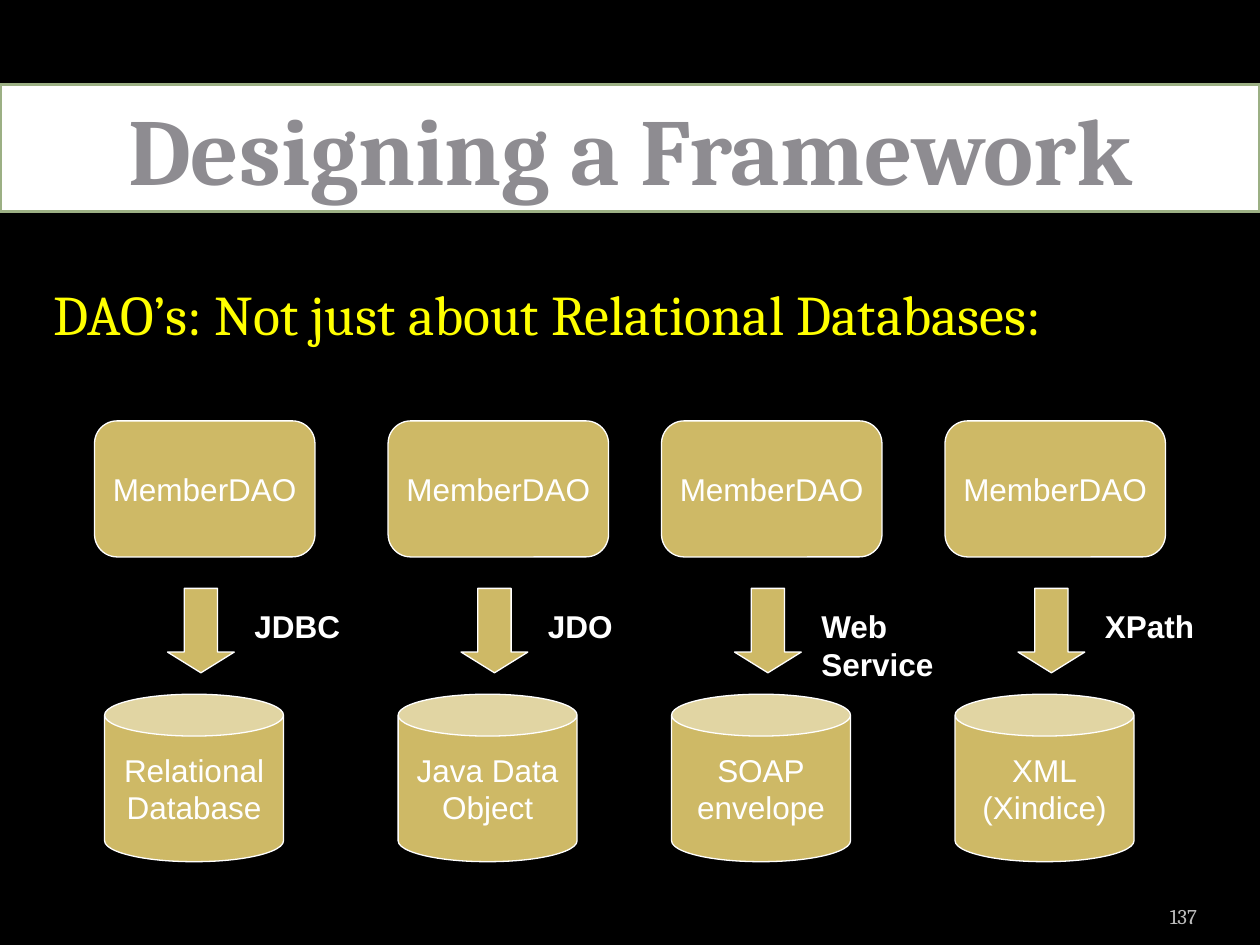
from pptx import Presentation
from pptx.dml.color import RGBColor as RGB
from pptx.enum.shapes import MSO_SHAPE as Shape
from pptx.enum.text import MSO_ANCHOR as Anchor, MSO_AUTO_SIZE as Fit, PP_ALIGN as Align
from pptx.util import Inches, Pt

INK = {"back": "000000", "white": "FFFFFF", "gold": "CEB966", "green": "9CB084",
       "grey": "8E8C91", "pale": "BDBDBD", "yellow": "FFFF00"}
COLS = (0.75, 3.08, 5.25, 7.5)
ROWS = {"dao": 3.34, "arrow": 4.67, "label": 4.77, "store": 5.51}
# Each column: way of access, label width and height, data store
STORES = (
    ("JDBC", 1.08, 0.4, "Relational\vDatabase"),
    ("JDO", 1.08, 0.4, "Java Data\vObject"),
    ("Web Service", 1.25, 0.7, "SOAP\venvelope"),
    ("XPath", 1.08, 0.4, "XML\n(Xindice)"),
)


def tint(name):
    return RGB.from_string(INK[name])


def write(item, text, size=18, font="Arial", color="white", bold=False,
          align=Align.LEFT, wrap=True, anchor=Anchor.TOP):
    frame = item.text_frame
    frame.text = text
    frame.word_wrap = wrap
    frame.vertical_anchor = anchor
    for para in frame.paragraphs:
        para.alignment = align
        for run in para.runs:
            run.font.size = Pt(size)
            run.font.name = font
            run.font.bold = bold
            run.font.color.rgb = tint(color)
    return frame


def add_text(slide, box, text, **style):
    item = slide.shapes.add_textbox(*map(Inches, box))
    return write(item, text, **style)


def add_form(slide, kind, box, fill="gold", line="white", width=0.75):
    form = slide.shapes.add_shape(kind, *map(Inches, box))
    form.shadow.inherit = False
    form.fill.solid()
    form.fill.fore_color.rgb = tint(fill)
    form.line.color.rgb = tint(line)
    form.line.width = Pt(width)
    return form


def add_title(slide, text):
    bar = add_form(slide, Shape.RECTANGLE, (0, 0.67, 10, 1.01), "white", "green", 2)
    frame = write(bar, text, 54, "Cambria", "grey", True, Align.CENTER)
    frame.auto_size = Fit.SHAPE_TO_FIT_TEXT


def add_column(slide, left, way, wide, high, store):
    """Draw a DAO above an arrow, its label and the data store."""
    mid = {"align": Align.CENTER, "wrap": False, "anchor": Anchor.MIDDLE}
    dao = add_form(slide, Shape.FLOWCHART_ALTERNATE_PROCESS,
                   (left, ROWS["dao"], 1.75, 1.08))
    write(dao, "MemberDAO", **mid)
    can = add_form(slide, Shape.CAN, (left + 0.08, ROWS["store"], 1.42, 1.33))
    can.adjustments[0] = 0.25
    write(can, store, **mid)
    arrow = add_form(slide, Shape.DOWN_ARROW, (left + 0.58, ROWS["arrow"], 0.53, 0.67))
    arrow.adjustments[0] = 0.5
    arrow.adjustments[1] = 0.31
    label = add_text(slide, (left + 1.17, ROWS["label"], wide, high), way, bold=True)
    label.auto_size = Fit.SHAPE_TO_FIT_TEXT


def add_number(slide, text):
    frame = add_text(slide, (8.67, 7.02, 0.83, 0.4), text, size=12, font="Cambria",
                     color="pale", align=Align.RIGHT, anchor=Anchor.BOTTOM)
    frame.margin_left = frame.margin_right = 0


def main():
    deck = Presentation()
    deck.slide_width, deck.slide_height = Inches(10), Inches(7.5)
    slide = deck.slides.add_slide(deck.slide_layouts[6])
    slide.background.fill.solid()
    slide.background.fill.fore_color.rgb = tint("back")
    lead = add_text(slide, (0.33, 2.17, 9.42, 0.64),
                    "DAO’s: Not just about Relational Databases:",
                    size=32, font="Cambria", color="yellow")
    lead.auto_size = Fit.SHAPE_TO_FIT_TEXT
    add_title(slide, "Designing a Framework")
    for left, store in zip(COLS, STORES):
        add_column(slide, left, *store)
    add_number(slide, "137")
    deck.save("out.pptx")


if __name__ == "__main__":
    main()
